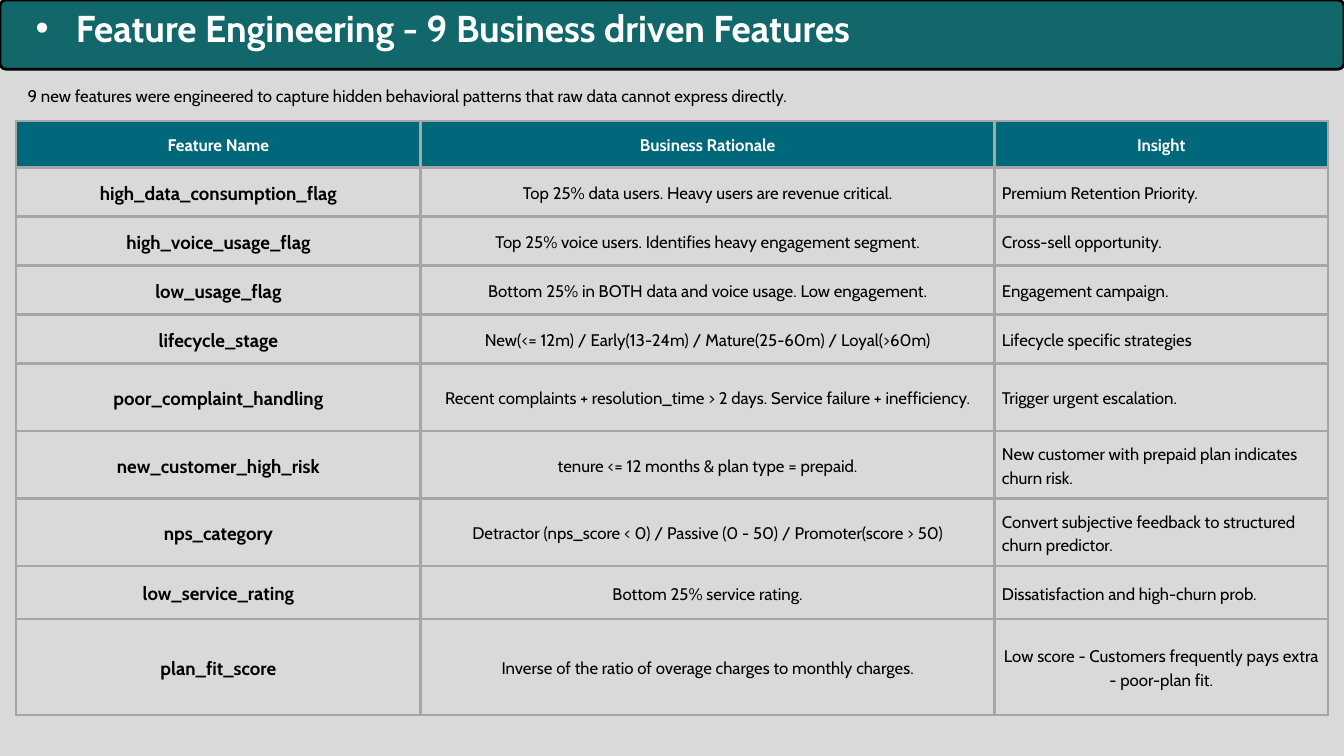
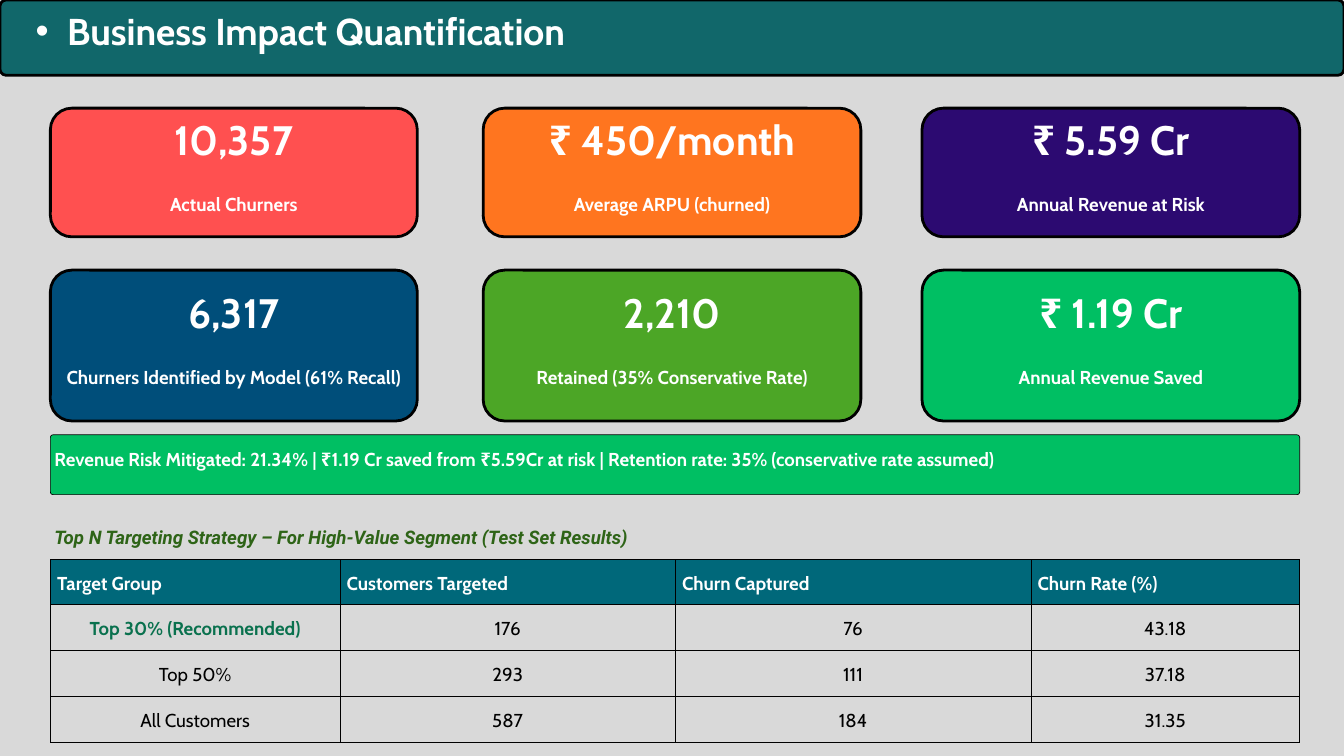
import collections

import lxml.etree
import pptx
import pptx.dml.color
import pptx.enum.shapes
import pptx.enum.text
import pptx.oxml.ns
import pptx.util

SLIDE_WIDTH = pptx.util.Inches(20)
SLIDE_HEIGHT = pptx.util.Inches(11.25)
UNIT = SLIDE_WIDTH / 80
GRID_COLUMNS = 80

PAPER, BAND, HEADER = "D9D9D9", "11676A", "00687A"
WHITE, BLACK, RULE = "FFFFFF", "000000", "A6A6A6"
RECOMMENDED, HEADING, SAVED = "0A714E", "2E6417", "00BF63"
BODY_FONT, HEADING_FONT = "Cabin", "Roboto"

LEFT = pptx.enum.text.PP_ALIGN.LEFT
CENTER = pptx.enum.text.PP_ALIGN.CENTER
JUSTIFY = pptx.enum.text.PP_ALIGN.JUSTIFY
MIDDLE = pptx.enum.text.MSO_ANCHOR.MIDDLE

Box = collections.namedtuple("Box", "col row cols rows")
Style = collections.namedtuple(
    "Style", "size color bold align italic font leading",
    defaults=(False, LEFT, False, BODY_FONT, 1.4))

FEATURES = [
    ("high_data_consumption_flag",
     "Top 25% data users. Heavy users are revenue critical.",
     "Premium Retention Priority."),
    ("high_voice_usage_flag",
     "Top 25% voice users. Identifies heavy engagement segment.",
     "Cross-sell opportunity."),
    ("low_usage_flag",
     "Bottom 25% in BOTH data and voice usage. Low engagement.",
     "Engagement campaign."),
    ("lifecycle_stage",
     "New(<= 12m) / Early(13-24m) / Mature(25-60m) / Loyal(>60m)",
     "Lifecycle specific strategies"),
    ("poor_complaint_handling",
     "Recent complaints + resolution_time > 2 days. Service failure + inefficiency.",
     "Trigger urgent escalation."),
    ("new_customer_high_risk",
     "tenure <= 12 months & plan type = prepaid.",
     "New customer with prepaid plan indicates churn risk."),
    ("nps_category",
     "Detractor (nps_score < 0) / Passive (0 - 50) / Promoter(score > 50)",
     "Convert subjective feedback to structured churn predictor."),
    ("low_service_rating",
     "Bottom 25% service rating.",
     "Dissatisfaction and high-churn prob."),
    ("plan_fit_score",
     "Inverse of the ratio of overage charges to monthly charges.",
     "Low score - Customers frequently pays extra - poor-plan fit."),
]

CARD_COLUMNS = [(3, 21.84), (28.76, 22.48), (54.88, 22.48)]
CARD_ROWS = [(6.44, 7.66), (16.08, 8.98)]
METRICS = [
    [("10,357", "Actual Churners", "FF5050"),
     ("₹ 450/month", "Average ARPU (churned)", "FF751F"),
     ("₹ 5.59 Cr", "Annual Revenue at Risk", "2C0A71")],
    [("6,317", "Churners Identified by Model (61% Recall)", "004E7A"),
     ("2,210", "Retained (35% Conservative Rate)", "4CA626"),
     ("₹ 1.19 Cr", "Annual Revenue Saved", SAVED)],
]

TARGETING = [
    ("Target Group", "Customers Targeted", "Churn Captured", "Churn Rate (%)"),
    ("Top 30% (Recommended)", "176", "76", "43.18"),
    ("Top 50%", "293", "111", "37.18"),
    ("All Customers", "587", "184", "31.35"),
]


def rgb(hex_color):
    """Turn a hex string into a colour."""
    return pptx.dml.color.RGBColor.from_string(hex_color)


def grid(units):
    """Turn grid units into a length."""
    return pptx.util.Emu(round(units * UNIT))


def place(box):
    """Turn a grid box into left, top, width and height."""
    return [grid(units) for units in box]


def write(paragraph, text, style):
    """Add one styled run to a paragraph."""
    paragraph.alignment = style.align
    paragraph.line_spacing = pptx.util.Pt(style.size * style.leading)
    run = paragraph.add_run()
    run.text = text
    run.font.name = style.font
    run.font.size = pptx.util.Pt(style.size)
    run.font.bold = style.bold
    run.font.italic = style.italic
    run.font.color.rgb = rgb(style.color)


def add_text(slide, box):
    """Add an empty, vertically centred text frame on a grid box."""
    frame = slide.shapes.add_textbox(*place(box)).text_frame
    frame.word_wrap = True
    frame.vertical_anchor = MIDDLE
    frame.margin_left = frame.margin_right = grid(0.24)
    frame.margin_top = frame.margin_bottom = grid(0.24)
    return frame


def add_panel(slide, box, fill, radius, line_width, lift):
    """Add a rounded panel and return its text frame, raised by lift."""
    panel = slide.shapes.add_shape(
        pptx.enum.shapes.MSO_SHAPE.ROUNDED_RECTANGLE, *place(box))
    panel.shadow.inherit = False
    panel.adjustments[0] = radius / min(box.cols, box.rows)
    panel.fill.solid()
    panel.fill.fore_color.rgb = rgb(fill)
    panel.line.color.rgb = rgb(BLACK)
    panel.line.width = pptx.util.Pt(line_width)
    return add_text(slide, box._replace(row=box.row - lift, rows=box.rows + lift))


def add_title_band(slide, rows, title, text_indent):
    """Add the title band with its bulleted title."""
    frame = add_panel(slide, Box(0, 0, GRID_COLUMNS, rows), BAND, 0.36, 3, 1.28)
    paragraph = frame.paragraphs[0]
    properties = paragraph._p.get_or_add_pPr()
    properties.set("marL", str(grid(text_indent)))
    properties.set("indent", str(grid(1.88 - text_indent)))
    for tag, name, value in (("a:buFont", "typeface", "Arial"), ("a:buChar", "char", "•")):
        bullet = lxml.etree.SubElement(properties, pptx.oxml.ns.qn(tag))
        bullet.set(name, value)
    write(paragraph, title, Style(40, WHITE, True))


def add_card(slide, box, value, label, fill):
    """Add a metric card with a large value above its label."""
    frame = add_panel(slide, box, fill, 1.28, 3, 1.42)
    write(frame.paragraphs[0], value, Style(44, WHITE, True, CENTER))
    caption = frame.add_paragraph()
    caption.space_before = pptx.util.Pt(28)
    write(caption, label, Style(20, WHITE, True, CENTER))


def set_borders(cell, color, width):
    """Draw the four borders of a table cell."""
    properties = cell._tc.get_or_add_tcPr()
    for side in ("a:lnL", "a:lnR", "a:lnT", "a:lnB"):
        line = lxml.etree.SubElement(properties, pptx.oxml.ns.qn(side))
        line.set("w", str(pptx.util.Pt(width)))
        fill = lxml.etree.SubElement(line, pptx.oxml.ns.qn("a:solidFill"))
        shade = lxml.etree.SubElement(fill, pptx.oxml.ns.qn("a:srgbClr"))
        shade.set("val", color)


def add_grid_table(slide, corner, cols, rows, content, style_at, border, inset):
    """Add a table with a filled header row, styled by row and column."""
    box = Box(*corner, sum(cols), sum(rows))
    table = slide.shapes.add_table(len(rows), len(cols), *place(box)).table
    table.first_row = table.horz_banding = False
    for column, width in zip(table.columns, cols):
        column.width = grid(width)
    for row, height in zip(table.rows, rows):
        row.height = grid(height)
    for row_index, texts in enumerate(content):
        for col_index, text in enumerate(texts):
            cell = table.cell(row_index, col_index)
            set_borders(cell, *border)
            if row_index == 0:
                cell.fill.solid()
                cell.fill.fore_color.rgb = rgb(HEADER)
            else:
                cell.fill.background()
            cell.vertical_anchor = MIDDLE
            cell.margin_left = cell.margin_right = grid(inset)
            cell.margin_top = cell.margin_bottom = grid(inset)
            write(cell.text_frame.paragraphs[0], text, style_at(row_index, col_index))


def feature_style(row, col):
    """Give the text style of a feature table cell."""
    if row == 0:
        return Style(18, WHITE, True, CENTER)
    if col == 0:
        return Style(20, BLACK, True, CENTER)
    left_aligned = col == 2 and row < len(FEATURES)
    return Style(18, BLACK, False, LEFT if left_aligned else CENTER)


def targeting_style(row, col):
    """Give the text style of a targeting table cell."""
    if row == 0:
        return Style(20, WHITE, True, JUSTIFY)
    if (row, col) == (1, 0):
        return Style(20, RECOMMENDED, True, CENTER)
    return Style(20, BLACK, False, CENTER)


def new_slide(deck):
    """Add a blank slide with the shared background."""
    slide = deck.slides.add_slide(deck.slide_layouts[6])
    slide.background.fill.solid()
    slide.background.fill.fore_color.rgb = rgb(PAPER)
    return slide


def build_features(deck):
    """Build the slide of engineered features."""
    slide = new_slide(deck)
    add_title_band(slide, 4.12, "Feature Engineering - 9 Business driven Features", 4.28)
    intro = add_text(slide, Box(0.96, 3.96, 78.08, 3.24))
    intro.margin_left = grid(0.68)
    write(intro.paragraphs[0],
          "9 new features were engineered to capture hidden behavioral patterns "
          "that raw data cannot express directly.", Style(18, BLACK))
    header = ("Feature Name", "Business Rationale", "Insight")
    add_grid_table(
        slide, (0.96, 7.2), [24.08, 34.16, 19.84],
        [2.76] + [2.92] * 4 + [4.02] * 3 + [3.16, 5.72],
        [header] + FEATURES, feature_style, (RULE, 3), 0.44)


def build_impact(deck):
    """Build the slide of business impact figures."""
    slide = new_slide(deck)
    add_title_band(slide, 4.48, "Business Impact Quantification", 3.76)
    for (row, rows), metrics in zip(CARD_ROWS, METRICS):
        for (col, cols), metric in zip(CARD_COLUMNS, metrics):
            add_card(slide, Box(col, row, cols, rows), *metric)
    summary = add_panel(slide, Box(3, 25.88, 74.36, 3.56), SAVED, 0.16, 0.75, 0.96)
    write(summary.paragraphs[0],
          "Revenue Risk Mitigated: 21.34% | ₹1.19 Cr saved from ₹5.59Cr at risk | "
          "Retention rate: 35% (conservative rate assumed)",
          Style(20, WHITE, True, leading=1.48))
    heading = add_text(slide, Box(3, 30.36, 74.36, 2.96))
    write(heading.paragraphs[0],
          "Top N Targeting Strategy – For High-Value Segment (Test Set Results)",
          Style(20, HEADING, True, JUSTIFY, True, HEADING_FONT))
    add_grid_table(
        slide, (3, 33.32), [17.24, 19.96, 21.16, 16], [2.64] + [2.74] * 3,
        TARGETING, targeting_style, (BLACK, 0.75), 0.4)


def main():
    """Build and save the deck."""
    deck = pptx.Presentation()
    deck.slide_width = SLIDE_WIDTH
    deck.slide_height = SLIDE_HEIGHT
    build_features(deck)
    build_impact(deck)
    deck.save("out.pptx")


if __name__ == "__main__":
    main()
